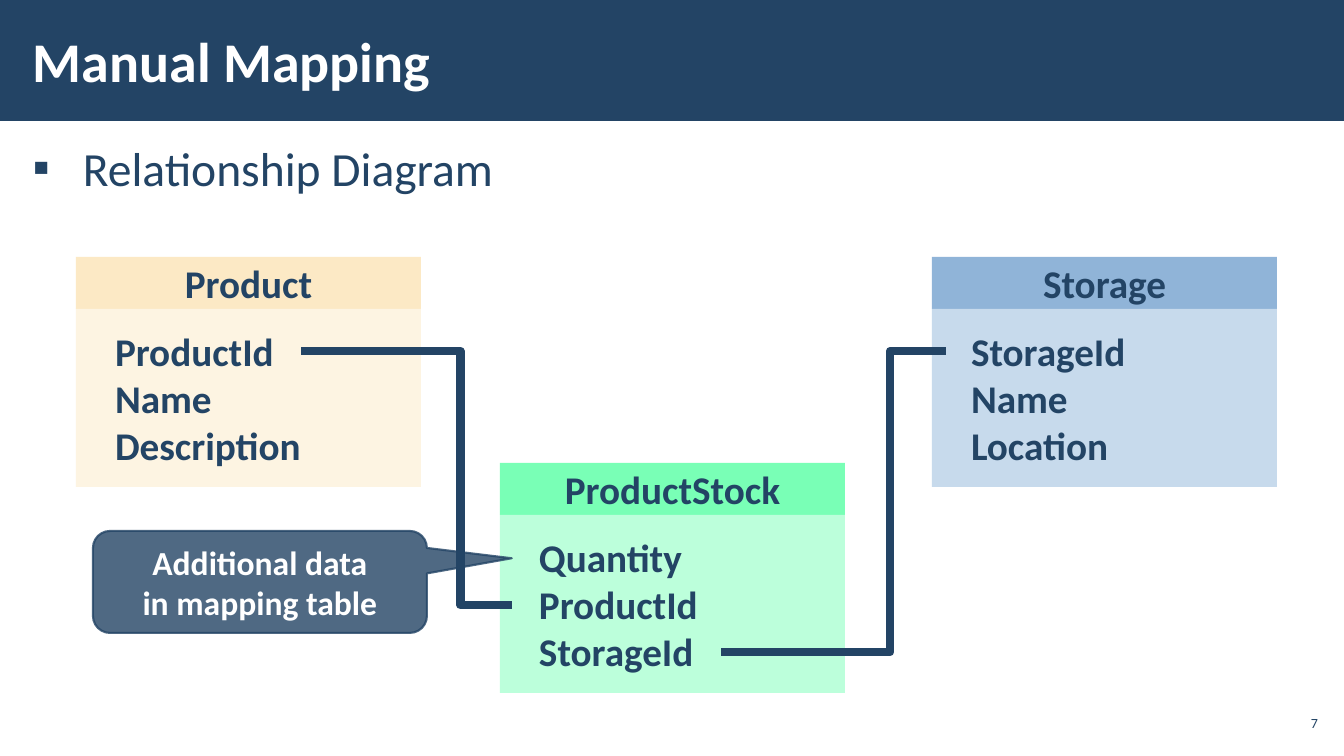
from dataclasses import dataclass

from lxml.etree import SubElement
from pptx import Presentation
from pptx.dml.color import RGBColor
from pptx.enum.shapes import MSO_CONNECTOR as Connector, MSO_SHAPE as Preset
from pptx.enum.text import MSO_ANCHOR as Anchor, MSO_AUTO_SIZE as AutoSize, PP_ALIGN as Align
from pptx.oxml.ns import qn
from pptx.util import Emu, Pt

EMU_PER_PX = 914400 / 100.8
NAVY, WHITE = "234465", "FFFFFF"
ENTITY_WIDTH, HEADING_HEIGHT, FIELDS_HEIGHT = 345, 52, 178


@dataclass
class Entity:
    name: str
    left: int
    top: int
    heading_color: str
    fields_color: str
    fields: list[str]


@dataclass
class Relation:
    start: tuple[int, int]
    end: tuple[int, int]
    bend: float  # share of the width at which the line turns


ENTITIES = [
    Entity("Product", 76, 257, "FCE9C5", "FDF4E2", ["ProductId", "Name", "Description"]),
    Entity("Storage", 932, 257, "90B4D8", "C7DAEC", ["StorageId", "Name", "Location"]),
    Entity("ProductStock", 500, 463, "79FFB6", "BCFFDB", ["Quantity", "ProductId", "StorageId"]),
]
RELATIONS = [
    Relation((301, 351), (512, 605), 0.755),
    Relation((946, 351), (721, 652), 0.248),
]


def px(length: float) -> Emu:
    return Emu(round(length * EMU_PER_PX))


def rgb(color: str) -> RGBColor:
    return RGBColor.from_string(color)


def place(shape, left: int, top: int, width: int, height: int) -> None:
    shape.left, shape.top, shape.width, shape.height = map(px, (left, top, width, height))


def write(shape, *lines: str, size: float, color: str = NAVY, bold: bool = False,
          align: Align = Align.LEFT, anchor: Anchor = Anchor.MIDDLE,
          inset: tuple[int, int] = (10, 5)) -> None:
    """Fill a shape with one paragraph per line; inset is (sides, top and bottom)."""
    frame = shape.text_frame
    frame.word_wrap, frame.auto_size, frame.vertical_anchor = True, AutoSize.NONE, anchor
    frame.margin_left = frame.margin_right = px(inset[0])
    frame.margin_top = frame.margin_bottom = px(inset[1])
    for index, line in enumerate(lines):
        paragraph = frame.add_paragraph() if index else frame.paragraphs[0]
        paragraph.alignment = align
        run = paragraph.add_run()
        run.text = line
        run.font.name, run.font.size, run.font.bold = "Calibri", Pt(size), bold
        run.font.color.rgb = rgb(color)


def add_box(shapes, preset: Preset, left: int, top: int, width: int, height: int, fill: str):
    box = shapes.add_shape(preset, px(left), px(top), px(width), px(height))
    box.shadow.inherit = False
    box.fill.solid()
    box.fill.fore_color.rgb = rgb(fill)
    box.line.fill.background()
    return box


def add_bullet(paragraph, character: str, indent: int) -> None:
    properties = paragraph._p.get_or_add_pPr()
    properties.set("marL", str(px(indent)))
    properties.set("indent", str(-px(indent)))
    SubElement(properties, qn("a:buFont"), typeface="Wingdings 2" if character == "" else "Calibri")
    SubElement(properties, qn("a:buChar"), char=character)


def add_entity(slide, entity: Entity) -> None:
    shapes = slide.shapes.add_group_shape().shapes
    heading = add_box(shapes, Preset.RECTANGLE, entity.left, entity.top,
                      ENTITY_WIDTH, HEADING_HEIGHT, entity.heading_color)
    write(heading, entity.name, size=28, bold=True, align=Align.CENTER)
    fields = add_box(shapes, Preset.RECTANGLE, entity.left, entity.top + HEADING_HEIGHT,
                     ENTITY_WIDTH, FIELDS_HEIGHT, entity.fields_color)
    write(fields, *entity.fields, size=28, bold=True, inset=(39, 5))


def add_relation(slide, relation: Relation) -> None:
    connector = slide.shapes.add_connector(
        Connector.ELBOW, *map(px, relation.start + relation.end))
    connector.line.color.rgb = rgb(NAVY)
    connector.line.width = Pt(6)
    properties = connector.element.spPr
    SubElement(properties, qn("a:effectLst"))
    adjustments = properties.find(qn("a:prstGeom")).get_or_add_avLst()
    SubElement(adjustments, qn("a:gd"), name="adj1", fmla=f"val {round(relation.bend * 100000)}")


def add_callout(slide) -> None:
    callout = add_box(slide.shapes, Preset.ROUNDED_RECTANGULAR_CALLOUT, 93, 531, 334, 102, NAVY)
    for index, value in enumerate((0.754, -0.232, 0.167)):
        callout.adjustments[index] = value
    callout.line.color.rgb = rgb(NAVY)
    callout.line.width = Pt(1.5)
    # Both fill and outline are 80 % opaque
    for color in callout.element.spPr.iter(qn("a:srgbClr")):
        SubElement(color, qn("a:alpha"), val="80000")
    write(callout, "Additional data", "in mapping table",
          size=24, color=WHITE, bold=True, align=Align.CENTER)


def main() -> None:
    presentation = Presentation()
    presentation.slide_width, presentation.slide_height = px(1344), px(756)
    slide = presentation.slides.add_slide(presentation.slide_layouts[1])
    title, body = slide.shapes.title, slide.placeholders[1]

    # Title on its bar
    bar = add_box(slide.shapes, Preset.RECTANGLE, 0, 0, 1344, 121, NAVY)
    title.element.addprevious(bar.element)
    place(title, 21, 11, 1048, 98)
    write(title, "Manual Mapping", size=40, color=WHITE, bold=True, inset=(12, 4))

    # Bulleted list
    place(body, 21, 132, 1302, 574)
    write(body, "Relationship Diagram", size=34, anchor=Anchor.TOP, inset=(12, 4))
    item = body.text_frame.paragraphs[0]
    item.line_spacing = 1.05
    item.space_before = item.space_after = Pt(6)
    add_bullet(item, "▪", 50)

    # Slide number
    number = slide.shapes.add_textbox(px(1275), px(706), px(47), px(34))
    write(number, "7", size=10, align=Align.RIGHT, inset=(4, 4))

    # Diagram
    for entity in ENTITIES:
        add_entity(slide, entity)
    for relation in RELATIONS:
        add_relation(slide, relation)
    add_callout(slide)

    presentation.save("out.pptx")


if __name__ == "__main__":
    main()
